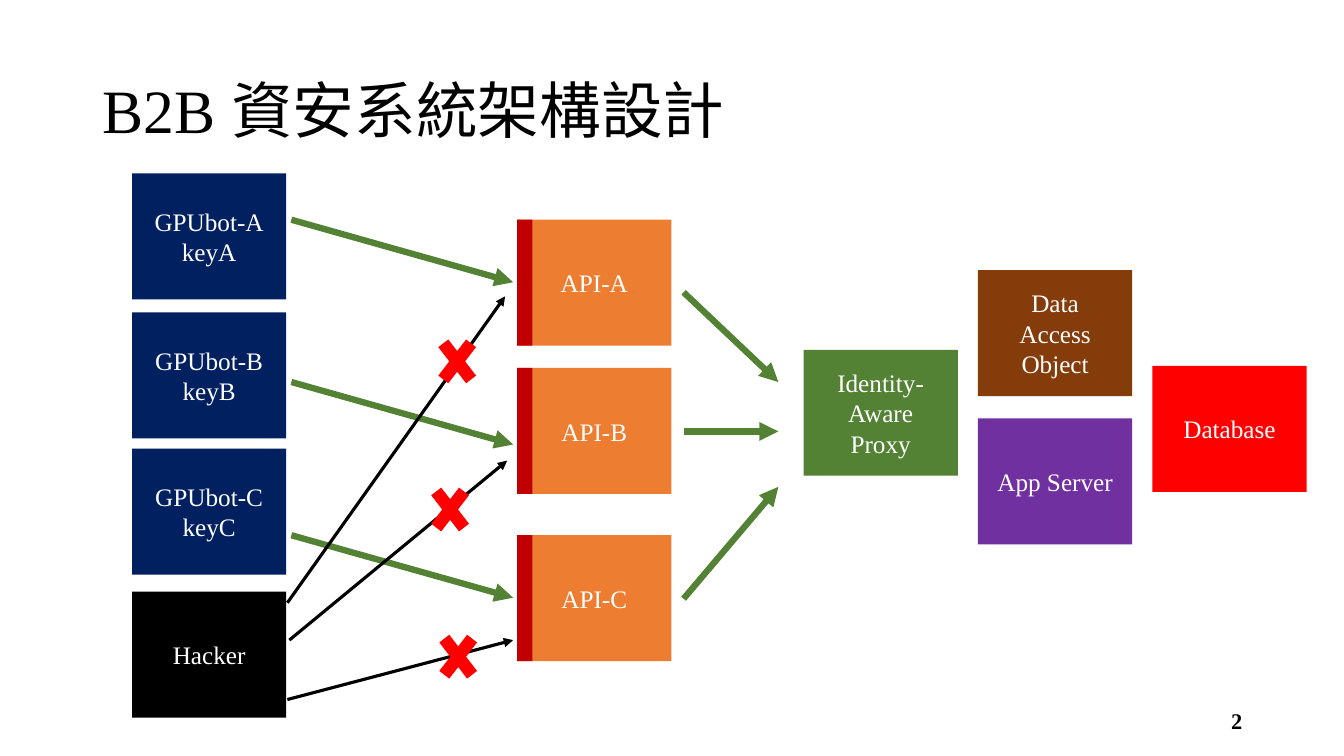
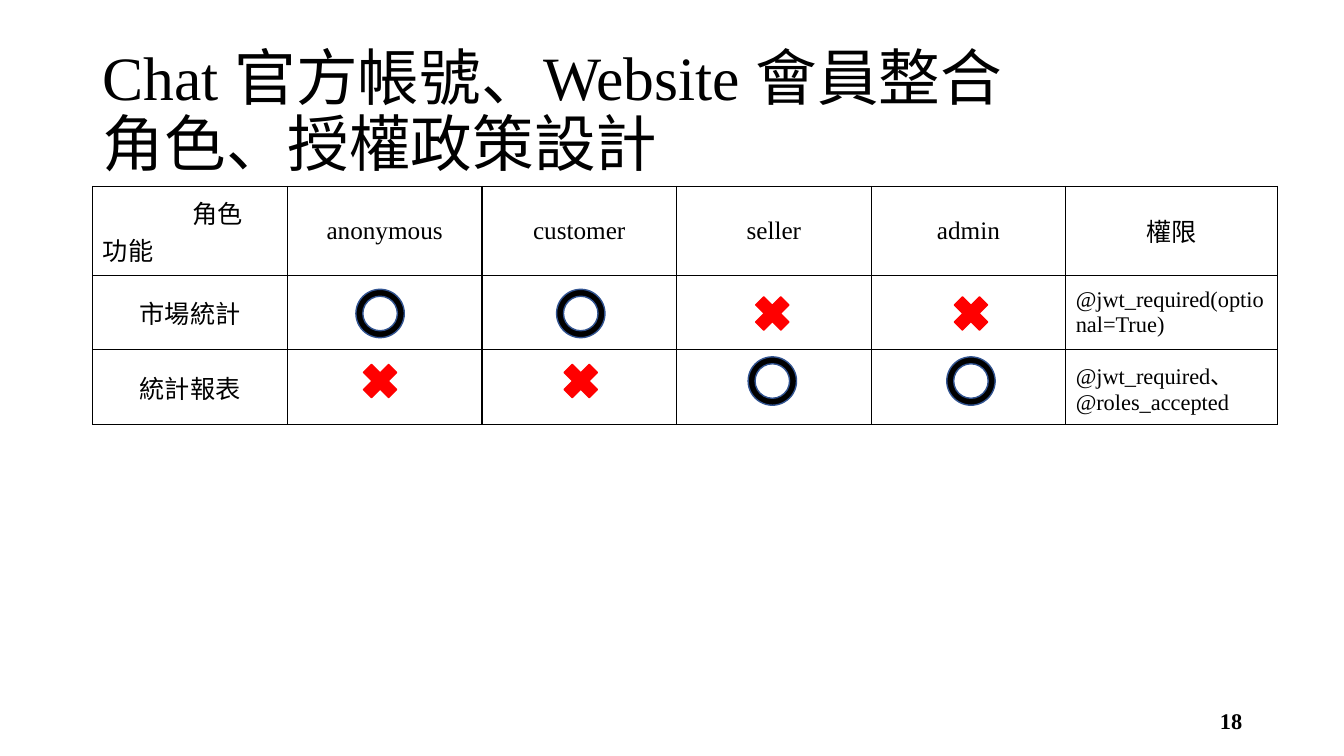
from lxml.etree import SubElement
from pptx import Presentation
from pptx.dml.color import RGBColor
from pptx.enum.shapes import MSO_CONNECTOR, MSO_SHAPE
from pptx.enum.text import MSO_ANCHOR, MSO_AUTO_SIZE, PP_ALIGN
from pptx.oxml.ns import qn
from pptx.util import Inches, Pt

# Shared style
FONT = "Times New Roman"
BLACK = RGBColor(0x00, 0x00, 0x00)
WHITE = RGBColor(0xFF, 0xFF, 0xFF)
NAVY = RGBColor(0x00, 0x20, 0x60)
ORANGE = RGBColor(0xED, 0x7D, 0x31)
GREEN = RGBColor(0x54, 0x82, 0x35)
BROWN = RGBColor(0x84, 0x3C, 0x0B)
PURPLE = RGBColor(0x70, 0x30, 0xA0)
RED = RGBColor(0xFF, 0x00, 0x00)
DARK_RED = RGBColor(0xC0, 0x00, 0x00)
RING_EDGE = RGBColor(0x32, 0x54, 0x91)

BOX_W, BOX_H = 1.53, 1.25
CROSS_W, CROSS_H = 0.53, 0.69
MARK = 0.48


def write(frame, text, size, color, align, bold=False):
    """Fill a text frame, one paragraph per line of text."""
    frame.word_wrap = True
    frame.text = text
    for paragraph in frame.paragraphs:
        paragraph.alignment = align
        paragraph.font.name = FONT
        paragraph.font.size = Pt(size)
        paragraph.font.bold = bold
        paragraph.font.color.rgb = color


def add_block(slide, kind, left, top, width, height, color, edge=None):
    block = slide.shapes.add_shape(
        kind, Inches(left), Inches(top), Inches(width), Inches(height))
    block.shadow.inherit = False
    block.fill.solid()
    block.fill.fore_color.rgb = color
    if edge is None:
        block.line.fill.background()
    else:
        block.line.color.rgb = edge
        block.line.width = Pt(1)
    return block


def add_box(slide, left, top, color, label):
    box = add_block(slide, MSO_SHAPE.RECTANGLE, left, top, BOX_W, BOX_H, color)
    box.text_frame.vertical_anchor = MSO_ANCHOR.MIDDLE
    write(box.text_frame, label, 18, WHITE, PP_ALIGN.CENTER)


def add_arrow(slide, x1, y1, x2, y2, color, width):
    arrow = slide.shapes.add_connector(
        MSO_CONNECTOR.STRAIGHT, Inches(x1), Inches(y1), Inches(x2), Inches(y2))
    arrow.line.color.rgb = color
    arrow.line.width = Pt(width)
    properties = arrow.element.spPr
    SubElement(properties.find(qn("a:ln")), qn("a:tailEnd"), type="triangle")
    SubElement(properties, qn("a:effectLst"))


def add_slide(deck, title_text, number):
    """Start a slide with its title and page number."""
    slide = deck.slides.add_slide(deck.slide_layouts[5])
    title = slide.shapes.title
    title.left, title.top = Inches(0.92), Inches(0.4)
    title.width, title.height = Inches(11.5), Inches(1.45)
    frame = title.text_frame
    frame.auto_size = MSO_AUTO_SIZE.NONE
    frame.vertical_anchor = MSO_ANCHOR.MIDDLE
    write(frame, title_text, 44, BLACK, PP_ALIGN.LEFT)
    frame.paragraphs[0].line_spacing = 0.9

    page = slide.shapes.add_textbox(
        Inches(9.42), Inches(6.95), Inches(3), Inches(0.4)).text_frame
    page.vertical_anchor = MSO_ANCHOR.MIDDLE
    write(page, number, 16, BLACK, PP_ALIGN.RIGHT, bold=True)
    return slide


def add_architecture(slide, left, top):
    """Clients, guarded APIs and back end, from the given corner."""
    boxes = [
        (0, 0, NAVY, "GPUbot-A\nkeyA"),
        (0, 1.38, NAVY, "GPUbot-B\nkeyB"),
        (0, 2.73, NAVY, "GPUbot-C\nkeyC"),
        (0, 4.15, BLACK, "Hacker"),
        (3.82, 0.46, ORANGE, "API-A"),
        (3.82, 1.93, ORANGE, "API-B"),
        (3.82, 3.59, ORANGE, "API-C"),
        (6.66, 1.75, GREEN, "Identity-\nAware\nProxy"),
        (8.39, 0.96, BROWN, "Data\nAccess\nObject"),
        (8.39, 2.43, PURPLE, "App Server"),
        (10.12, 1.91, RED, "Database"),
    ]
    for x, y, color, label in boxes:
        add_box(slide, left + x, top + y, color, label)
        if color == ORANGE:  # key check on the API's edge
            add_block(slide, MSO_SHAPE.RECTANGLE, left + x, top + y,
                      0.15, BOX_H, DARK_RED)

    # Allowed calls: client to API, then API to proxy
    allowed = [(1.58, y, 3.78, y + 0.62) for y in (0.46, 2.07, 3.59)]
    allowed += [(5.47, start, 6.41, end) for start, end in
                ((1.18, 2.07), (2.56, 2.56), (4.22, 3.11))]
    # Hacker's calls
    blocked = [(1.54, 5.22, 3.78, 4.63), (1.56, 4.63, 3.72, 2.85),
               (1.54, 4.26, 3.7, 1.22)]
    for calls, color, width in ((allowed, GREEN, 4.5), (blocked, BLACK, 2.25)):
        for x1, y1, x2, y2 in calls:
            add_arrow(slide, left + x1, top + y1, left + x2, top + y2,
                      color, width)

    for x, y in ((2.97, 4.45), (2.96, 1.52), (2.89, 2.99)):
        add_block(slide, MSO_SHAPE.MATH_MULTIPLY, left + x, top + y,
                  CROSS_W, CROSS_H, RED)


def style_cell(cell):
    """White cell with thin black borders."""
    properties = cell._tc.get_or_add_tcPr()
    for side in ("a:lnL", "a:lnR", "a:lnT", "a:lnB"):
        border = SubElement(properties, qn(side), w=str(Pt(1)))
        solid = SubElement(border, qn("a:solidFill"))
        SubElement(solid, qn("a:srgbClr"), val=str(BLACK))
    cell.fill.solid()
    cell.fill.fore_color.rgb = WHITE
    cell.vertical_anchor = MSO_ANCHOR.MIDDLE


def add_policy_table(slide, left, top):
    """Roles against features, with the allowed marks laid over the cells."""
    rows = [
        ["角色\n功能", "anonymous", "customer", "seller", "admin", "權限"],
        ["市場統計", "", "", "", "", "@jwt_required(optional=True)"],
        ["統計報表", "", "", "", "", "@jwt_required、\n@roles_accepted"],
    ]
    widths = [1.93] * 5 + [2.1]
    heights = [0.88, 0.74, 0.74]
    policy = slide.shapes.add_table(
        len(rows), len(widths), Inches(left), Inches(top),
        Inches(sum(widths)), Inches(sum(heights))).table
    policy.first_row = policy.horz_banding = False
    for column, width in zip(policy.columns, widths):
        column.width = Inches(width)
    for r, (labels, height) in enumerate(zip(rows, heights)):
        policy.rows[r].height = Inches(height)
        for c, label in enumerate(labels):
            cell = policy.cell(r, c)
            style_cell(cell)
            is_permission = r > 0 and c == len(widths) - 1
            is_corner = r == c == 0
            align = (PP_ALIGN.LEFT if is_permission or is_corner
                     else PP_ALIGN.CENTER)
            write(cell.text_frame, label, 16 if is_permission else 18,
                  BLACK, align)
    role_heading = policy.cell(0, 0).text_frame.paragraphs[0]
    role_heading._p.get_or_add_pPr().set("marL", str(Inches(0.89)))

    # O = allowed, X = denied
    for y, access in ((1.02, "OOXX"), (1.69, "XXOO")):
        for x, mark in zip((2.61, 4.6, 6.5, 8.47), access):
            if mark == "O":
                ring = add_block(slide, MSO_SHAPE.DONUT, left + x, top + y,
                                 MARK, MARK, BLACK, RING_EDGE)
                ring.adjustments[0] = 0.143
            else:
                add_block(slide, MSO_SHAPE.MATH_MULTIPLY, left + x, top + y,
                          MARK, MARK, RED, RED)


def main():
    deck = Presentation()
    deck.slide_width, deck.slide_height = Inches(13.33), Inches(7.5)
    architecture = add_slide(deck, "B2B 資安系統架構設計", "2")
    add_architecture(architecture, 1.31, 1.72)
    policy = add_slide(
        deck, "Chat 官方帳號、Website 會員整合\v角色、授權政策設計", "18")
    add_policy_table(policy, 0.92, 1.85)
    deck.save("out.pptx")


if __name__ == "__main__":
    main()
